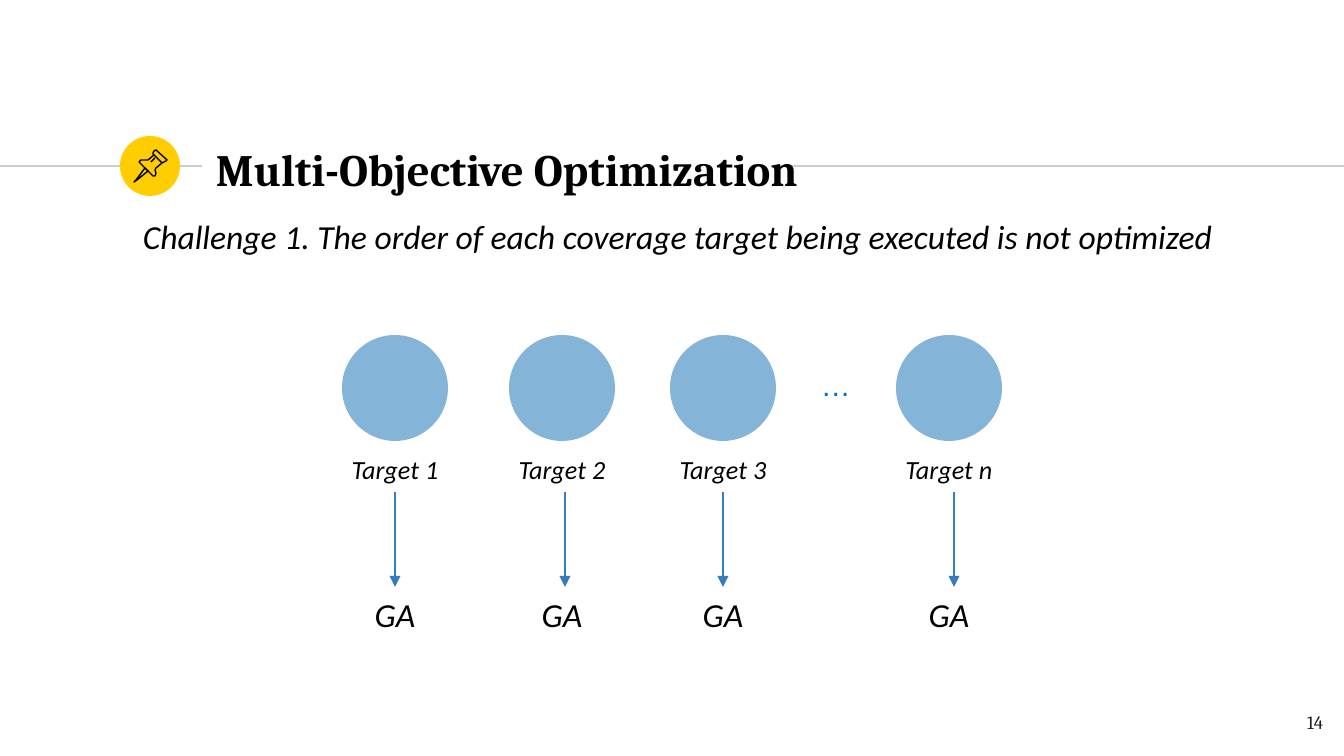
from lxml.etree import SubElement
from pptx import Presentation
from pptx.dml.color import RGBColor
from pptx.enum.shapes import MSO_CONNECTOR as Connector, MSO_SHAPE as Shape
from pptx.enum.text import MSO_ANCHOR as Anchor, MSO_AUTO_SIZE as AutoSize, PP_ALIGN as Align
from pptx.oxml.ns import qn
from pptx.util import Pt

EMU_PER_PX = 914400 / 134.4
COLORS = {
    "ink": "000000",
    "number": "1D1D1B",
    "rule": "CCCCCC",
    "badge": "FFCD00",
    "target": "85B4D9",
    "arrow": "367EB9",
    "dots": "0070C0",
}


def px(value):
    return round(value * EMU_PER_PX)


def color(name):
    return RGBColor.from_string(COLORS[name])


class SlideBuilder:
    def __init__(self, deck):
        self.slide = deck.slides.add_slide(deck.slide_layouts[6])
        self.shapes = self.slide.shapes
        self.line_width = Pt(0.75)

    def circle(self, left, top, size, fill):
        disc = self.shapes.add_shape(Shape.OVAL, px(left), px(top), px(size), px(size))
        disc.shadow.inherit = False
        disc.fill.solid()
        disc.fill.fore_color.rgb = color(fill)
        disc.line.fill.background()
        return disc

    def outline(self, points, close):
        builder = self.shapes.build_freeform(*points[0], scale=EMU_PER_PX)
        builder.add_line_segments(points[1:], close=close)
        stroke = builder.convert_to_shape()
        stroke.shadow.inherit = False
        stroke.fill.background()
        stroke.line.color.rgb = color("ink")
        stroke.line.width = self.line_width

    def line(self, start, end, stroke, arrow=False):
        rule = self.shapes.add_connector(Connector.STRAIGHT, *map(px, start + end))
        rule.line.color.rgb = color(stroke)
        rule.line.width = self.line_width
        if arrow:
            SubElement(rule.line._get_or_add_ln(), qn("a:tailEnd"), type="triangle")
        SubElement(rule._element.spPr, qn("a:effectLst"))
        return rule

    def text(self, words, box, size, font="Calibri", ink="ink", align=Align.LEFT,
             bold=False, italic=False, inset=(13, 7), anchor=Anchor.TOP,
             wrap=True, grow=False):
        label = self.shapes.add_textbox(*map(px, box))
        frame = label.text_frame
        frame.word_wrap = wrap
        frame.auto_size = AutoSize.SHAPE_TO_FIT_TEXT if grow else AutoSize.NONE
        frame.vertical_anchor = anchor
        frame.margin_left = frame.margin_right = px(inset[0])
        frame.margin_top = frame.margin_bottom = px(inset[1])
        paragraph = frame.paragraphs[0]
        paragraph.text = words
        paragraph.alignment = align
        paragraph.font.name = font
        paragraph.font.size = Pt(size)
        paragraph.font.bold = bold
        paragraph.font.italic = italic
        paragraph.font.color.rgb = color(ink)
        return label


def add_header(page):
    page.line((0, 166), (202, 166), "rule")
    page.circle(120, 136, 60, "badge")
    page.line((774, 166), (1344, 166), "rule")
    page.text("Multi-Objective Optimization", (203, 136, 935, 65), 24, font="Cambria",
              bold=True, inset=(13, 13), anchor=Anchor.MIDDLE)

    needle = [(145, 168), (136, 180), (134, 182), (137, 180), (148, 171)]
    head = [(154, 155), (162, 163), (164, 162), (166, 161), (167, 160),
            (156, 150), (154, 151), (153, 153), (153, 154)]
    body = [(154, 155), (148, 160), (145, 160), (141, 160), (139, 162), (140, 163),
            (153, 176), (155, 176), (156, 173), (155, 170), (156, 168), (162, 163)]
    crease = [(151, 162), (155, 158)]
    for points, close in ((needle, True), (head, True), (body, False), (crease, False)):
        page.outline(points, close)


def add_targets(page):
    diameter, label_width = 106, 144
    label_top, label_height, ga_top = 446, 46, 587
    arrow_top = label_top + label_height
    targets = (("1", 395, 395), ("2", 562, 565), ("3", 723, 723), ("n", 949, 954))
    for name, center, arrow_x in targets:
        page.circle(center - diameter // 2, 335, diameter, "target")
        left = center - label_width // 2
        caption = page.text(f"Target {name}", (left, label_top, label_width, label_height),
                            14, align=Align.CENTER, italic=True, grow=True)
        ga = page.text("GA", (left, ga_top, label_width, 54), 18,
                       align=Align.CENTER, italic=True, grow=True)
        arrow = page.line((arrow_x, arrow_top), (arrow_x, ga_top), "arrow", arrow=True)
        if arrow_x == center:
            arrow.begin_connect(caption, 2)
            arrow.end_connect(ga, 0)
    page.text("…", (808, 360, 58, 50), 16, font="Arial", ink="dots", wrap=False, grow=True)


def main():
    deck = Presentation()
    deck.slide_width, deck.slide_height = px(1344), px(756)
    page = SlideBuilder(deck)
    add_header(page)
    page.text("Challenge 1. The order of each coverage target being executed is not optimized",
              (19, 203, 1318, 457), 18, align=Align.CENTER, italic=True, inset=(13, 13))
    add_targets(page)
    page.text("14", (1255, 698, 81, 58), 10, font="Cambria", ink="number",
              align=Align.RIGHT, inset=(13, 13))
    deck.save("out.pptx")


if __name__ == "__main__":
    main()
